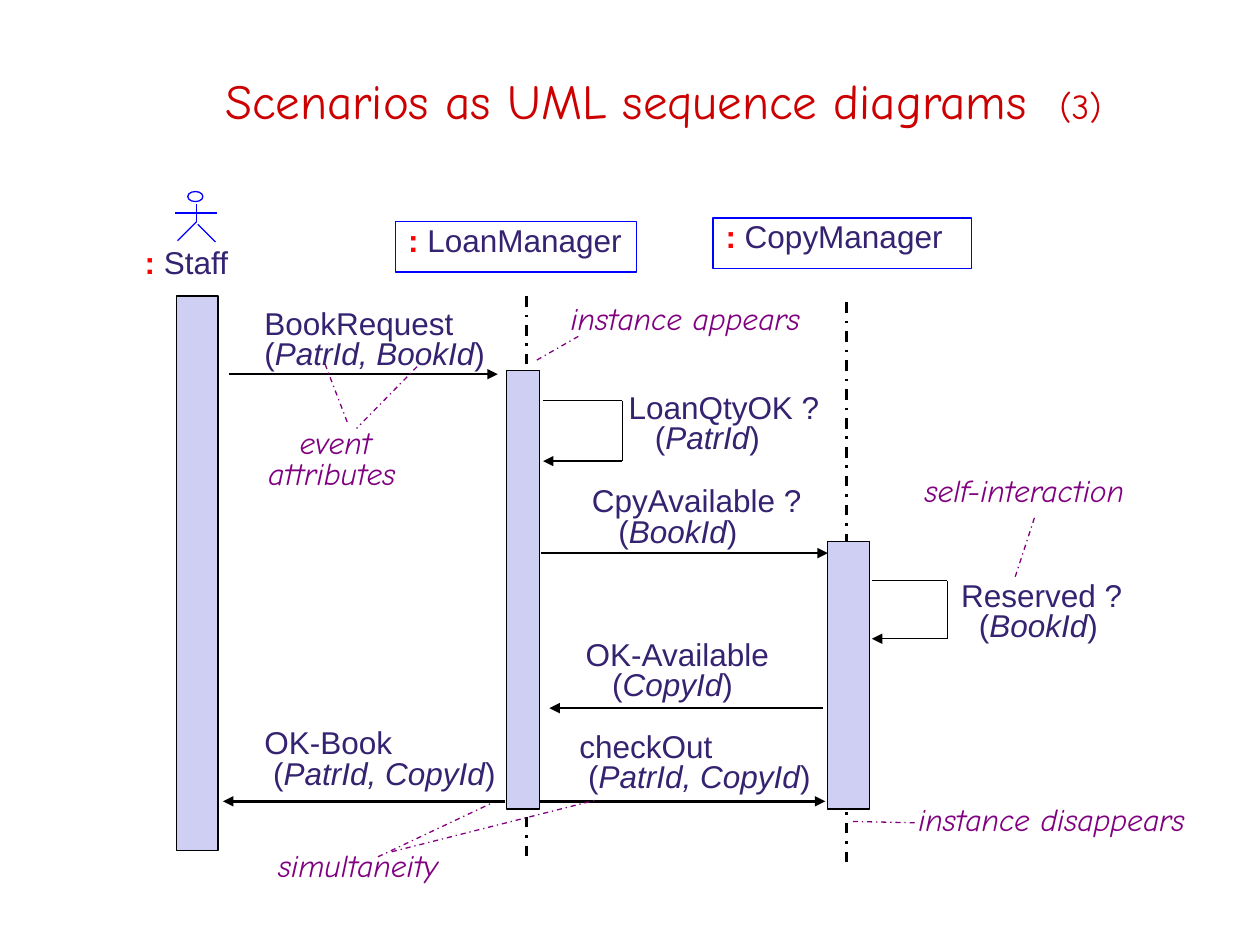
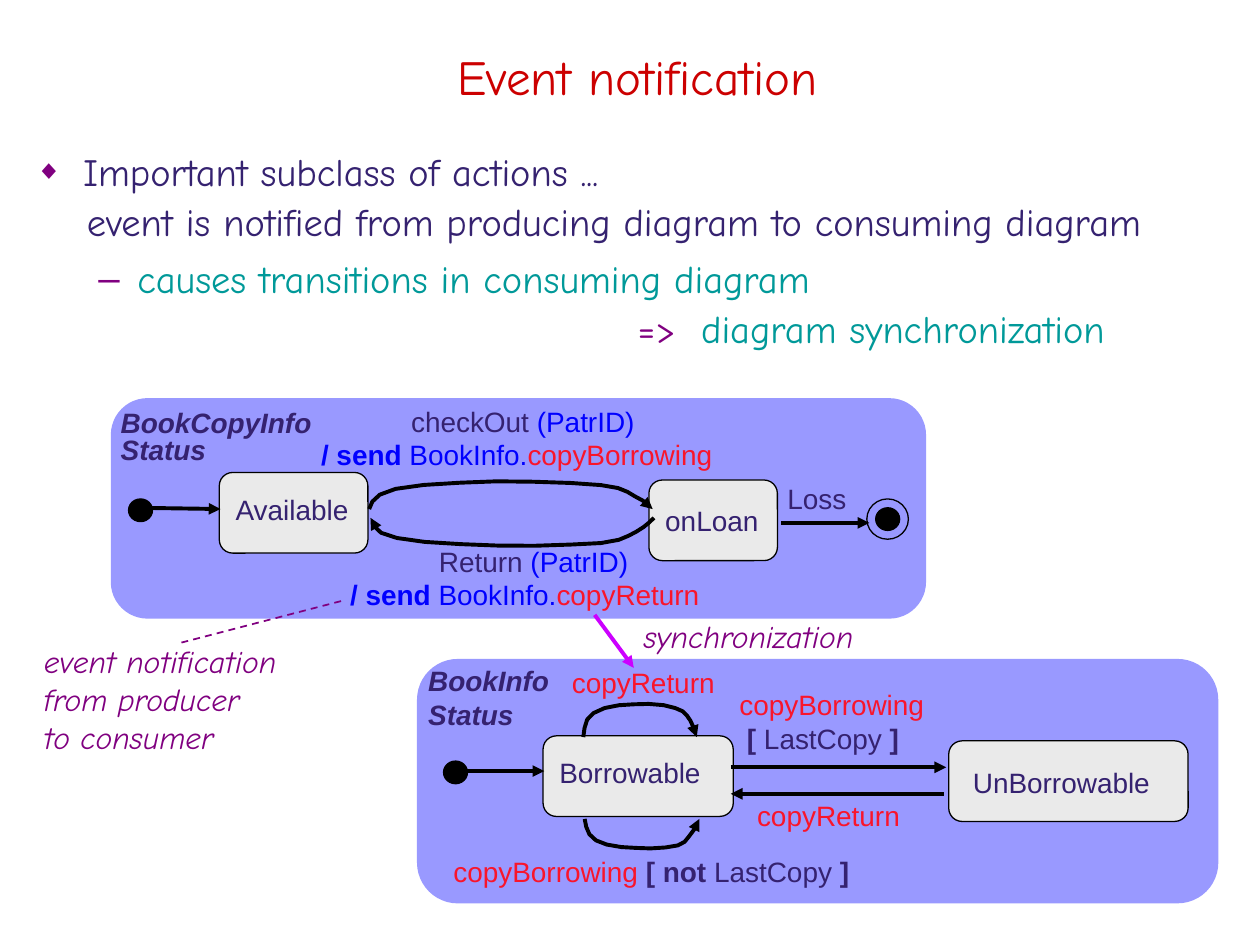
"""Build two slides on UML sequence diagrams and event notification."""
import pptx
import pptx.util
import pptx.dml.color
import pptx.enum.dml
import pptx.enum.shapes
import pptx.enum.text
import pptx.oxml.ns
import lxml.etree

PX = 9144
COLOURS = {
    "title": "CC0000", "ink": "352270", "black": "000000", "blue": "0000FF",
    "red": "FF0000", "event": "F9152B", "note": "800080", "teal": "009999",
    "bar": "CECFF2", "panel": "9999FF", "state": "EAEAEA", "sync": "CC00FF",
}
FONTS = {
    "title": ("Comic Neue", 28, "title", {}),
    "part": ("Comic Neue", 20, "title", {}),
    "body": ("Comic Neue", 22, "ink", {}),
    "detail": ("Comic Neue", 22, "teal", {}),
    "sign": ("Comic Neue", 22, "note", {}),
    "note": ("Comic Neue", 18, "note", {"italic": True}),
    "colon": ("Arial", 18, "red", {"bold": True}),
    "label": ("Arial", 18, "ink", {}),
    "argument": ("Arial", 18, "ink", {"italic": True}),
    "lead": ("Times New Roman", 18, "ink", {}),
    "small": ("Arial", 16, "ink", {}),
    "strong": ("Arial", 16, "ink", {"bold": True}),
    "diagram": ("Arial", 16, "ink", {"bold": True, "italic": True}),
    "event": ("Arial", 16, "event", {}),
    "target": ("Arial", 16, "blue", {}),
    "send": ("Arial", 16, "blue", {"bold": True}),
}
SHAPE = pptx.enum.shapes.MSO_SHAPE
STRAIGHT = pptx.enum.shapes.MSO_CONNECTOR.STRAIGHT
DASH = pptx.enum.dml.MSO_LINE
ANCHOR = pptx.enum.text.MSO_ANCHOR
ALIGN = pptx.enum.text.PP_ALIGN
TIGHT = {"line_spacing": 0.8}


def ink(shape, colour=None, width=0.75, dash=None, arrow=False, fill=None):
    """Set line, fill and arrowhead, and drop the shadow."""
    if colour:
        shape.line.color.rgb = pptx.dml.color.RGBColor.from_string(COLOURS[colour])
        shape.line.width = pptx.util.Pt(width)
        shape.line.dash_style = dash
    else:
        shape.line.fill.background()
    if arrow:
        end = lxml.etree.SubElement(shape.line._ln, pptx.oxml.ns.qn("a:tailEnd"))
        end.set("type", "triangle")
    if fill:
        shape.fill.solid()
        shape.fill.fore_color.rgb = pptx.dml.color.RGBColor.from_string(COLOURS[fill])
    elif hasattr(shape, "fill"):
        shape.fill.background()
    lxml.etree.SubElement(shape._element.spPr, pptx.oxml.ns.qn("a:effectLst"))


def write(shape, paragraphs, anchor=ANCHOR.TOP):
    """Fill a shape with paragraphs of (layout, runs)."""
    frame = shape.text_frame
    frame.word_wrap = True
    frame.auto_size = pptx.enum.text.MSO_AUTO_SIZE.NONE
    frame.vertical_anchor = anchor
    for number, (layout, runs) in enumerate(paragraphs):
        paragraph = frame.add_paragraph() if number else frame.paragraphs[0]
        paragraph.alignment = ALIGN.LEFT
        for key, value in layout.items():
            if key in ("marL", "indent"):
                paragraph._p.get_or_add_pPr().set(key, str(value * PX))
            else:
                setattr(paragraph, key, value)
        for text, style in runs:
            run = paragraph.add_run()
            run.text = text
            name, size, colour, emphasis = FONTS[style]
            values = {"name": name, "size": pptx.util.Pt(size), "bold": False, "italic": False}
            for key, value in {**values, **emphasis}.items():
                setattr(run.font, key, value)
            run.font.color.rgb = pptx.dml.color.RGBColor.from_string(COLOURS[colour])


deck = pptx.Presentation()
deck.slide_width, deck.slide_height = 1000 * PX, 750 * PX
slides = []
for layout_number, at, heading in [
    (5, (78, 38, 897, 83),
     [("Scenarios as UML sequence diagrams", "title"), (" ", "title"), ("(3)", "part")]),
    (1, (33, 19, 946, 83), [("Event notification", "title")]),
]:
    slide = deck.slides.add_slide(deck.slide_layouts[layout_number])
    title = slide.shapes.title
    title.left, title.top, title.width, title.height = [v * PX for v in at]
    write(title, [({"alignment": ALIGN.CENTER}, heading)], ANCHOR.MIDDLE)
    slides.append(slide)
sequence, notification = [slide.shapes for slide in slides]

for x, top, bottom in [(672, 240, 686), (418, 235, 681)]:
    lifeline = sequence.add_connector(STRAIGHT, x * PX, top * PX, x * PX, bottom * PX)
    ink(lifeline, "black", 1.5, DASH.DASH_DOT)

for at in [(140, 235, 33, 440), (402, 294, 26, 348), (657, 430, 33, 212)]:
    activation = sequence.add_shape(SHAPE.RECTANGLE, *[v * PX for v in at])
    ink(activation, "black", fill="bar")

staff = sequence.add_textbox(105 * PX, 194 * PX, 113 * PX, 42 * PX)
write(staff, [(TIGHT, [(": ", "colon"), ("Staff", "label")])])
for at, participant in [
    ((314, 176, 191, 40), "LoanManager"),
    ((566, 173, 205, 40), "CopyManager"),
]:
    header = sequence.add_shape(SHAPE.RECTANGLE, *[v * PX for v in at])
    ink(header, "blue")
    write(header, [(TIGHT, [(":", "colon"), (" " + participant, "label")])])

for at, message, indent, arguments in [
    ((200, 242, 203, 64), "BookRequest", 0, "PatrId, BookId"),
    ((489, 309, 177, 56), "LoanQtyOK ?", 21, "PatrId"),
    ((460, 383, 194, 57), "CpyAvailable ?", 21, "BookId"),
    ((753, 458, 172, 56), "Reserved ?", 14, "BookId"),
    ((455, 505, 187, 56), "OK-Available", 21, "CopyId"),
    ((200, 575, 207, 57), "OK-Book", 7, "PatrId, CopyId"),
    ((450, 578, 205, 57), "checkOut", 7, "PatrId, CopyId"),
]:
    caption = sequence.add_textbox(*[v * PX for v in at])
    write(caption, [
        (TIGHT, [(message, "label")]),
        ({**TIGHT, "marL": indent, "indent": 0},
         [("(", "label"), (arguments, "argument"), (")", "label")]),
    ])

for start, end, y in [
    (182, 395, 297), (429, 657, 439), (653, 436, 562), (428, 655, 636), (401, 177, 636),
]:
    arrow = sequence.add_connector(STRAIGHT, start * PX, y * PX, end * PX, y * PX)
    ink(arrow, "black", 1.5, arrow=True)

for left, right, top, bottom in [(431, 494, 318, 366), (692, 752, 461, 507)]:
    corners = [(left, top), (right, top), (right, bottom), (left, bottom)]
    for begin, end in zip(corners, corners[1:]):
        side = sequence.add_connector(STRAIGHT, *[v * PX for v in begin + end])
        ink(side, "black", arrow=end == corners[-1])

for at, remark, indent in [
    ((203, 337, 143, 60), "event attributes", 25),
    ((724, 375, 226, 36), "self-interaction", 0),
    ((443, 238, 226, 36), "instance appears", 0),
    ((719, 636, 255, 36), "instance disappears", 0),
    ((211, 672, 177, 36), "simultaneity", 0),
]:
    note = sequence.add_textbox(*[v * PX for v in at])
    write(note, [({**TIGHT, "marL": 0, "indent": indent}, [(remark, "note")])])

for ends in [
    (258, 289, 276, 336), (331, 291, 283, 340), (821, 411, 805, 460), (459, 267, 424, 287),
    (726, 653, 677, 652), (311, 676, 473, 635), (300, 680, 389, 638),
]:
    pointer = sequence.add_connector(STRAIGHT, *[v * PX for v in ends])
    ink(pointer, "note", dash=DASH.DASH_DOT)

actor = sequence.add_group_shape().shapes
ink(actor.add_shape(SHAPE.OVAL, 149 * PX, 152 * PX, 12 * PX, 8 * PX), "blue")
for ends in [
    (156, 162, 156, 176), (156, 176, 141, 191), (157, 178, 171, 192), (139, 169, 172, 169),
]:
    ink(actor.add_connector(STRAIGHT, *[v * PX for v in ends]), "blue")

points = notification.placeholders[1]
points.left, points.top, points.width, points.height = [v * PX for v in (18, 111, 982, 175)]
gap, wide_gap = pptx.util.Pt(5.5), pptx.util.Pt(10)
write(points, [
    ({"marL": 38, "indent": -38, "space_before": wide_gap},
     [("Important subclass of actions ...", "body")]),
    ({"marL": 41, "indent": 0, "space_before": gap, "line_spacing": 0.9},
     [("event is notified from producing diagram to consuming diagram", "body")]),
    ({"level": 1, "marL": 81, "indent": -31, "space_before": gap},
     [("causes transitions in consuming diagram", "detail")]),
    ({"level": 1, "marL": 478, "indent": 0, "space_before": gap, "line_spacing": 0.9},
     [("=>", "sign"), (" ", "detail"), ("diagram synchronization", "detail")]),
], ANCHOR.MIDDLE)
for point, (bullet, percent) in zip(
    points.text_frame.paragraphs, [("◆", 70), (None, 0), ("–", 100), (None, 0)]
):
    properties = point._p.get_or_add_pPr()
    if not bullet:
        lxml.etree.SubElement(properties, pptx.oxml.ns.qn("a:buNone"))
        continue
    tint = lxml.etree.SubElement(properties, pptx.oxml.ns.qn("a:buClr"))
    for parent, tag, key, value in [
        (tint, "a:srgbClr", "val", COLOURS["note"]),
        (properties, "a:buSzPct", "val", str(percent * 1000)),
        (properties, "a:buChar", "char", bullet),
    ]:
        lxml.etree.SubElement(parent, pptx.oxml.ns.qn(tag)).set(key, value)

for line, tracking in [
    (sequence.title.text_frame.paragraphs[0], 950), (points.text_frame.paragraphs[3], 700),
]:
    line.runs[1]._r.get_or_add_rPr().set("spc", str(tracking))

for at in [(331, 523, 636, 194), (88, 316, 647, 175)]:
    ink(notification.add_shape(SHAPE.ROUNDED_RECTANGLE, *[v * PX for v in at]), fill="panel")

for at, state, spacing in [
    ((431, 584, 151, 64), [("Borrowable", "small")], 1.3),
    ((753, 588, 190, 64), [(" ", "lead"), ("UnBorrowable", "small")], 1.3),
    ((174, 375, 118, 64), [("Available", "small")], 1.3),
    ((515, 381, 102, 64), [("onLoan", "small")], 1.4),
]:
    box = notification.add_shape(SHAPE.ROUNDED_RECTANGLE, *[v * PX for v in at])
    ink(box, "black", fill="state")
    write(box, [({"line_spacing": spacing, "space_before": pptx.util.Pt(6)}, state)])

final_state = notification.add_group_shape().shapes
for place, at, fill in [
    (notification, (352, 604, 19, 18), "black"), (notification, (102, 396, 19, 18), "black"),
    (final_state, (695, 403, 19, 18), "black"), (final_state, (688, 396, 33, 32), None),
]:
    ink(place.add_shape(SHAPE.OVAL, *[v * PX for v in at]), "black", fill=fill)

centred = {"alignment": ALIGN.CENTER}
for at, paragraphs in [
    ((577, 541, 194, 69), [
        ({}, [("copyBorrowing", "event")]),
        ({"marL": 6, "indent": 0},
         [("[ ", "strong"), ("LastCopy ", "small"), ("]", "strong")])]),
    ((591, 629, 169, 36), [({}, [("copyReturn", "event")])]),
    ((444, 523, 169, 36), [({}, [("copyReturn", "event")])]),
    ((350, 673, 389, 44), [
        ({}, [("copyBorrowing ", "event"), ("[ not ", "strong"),
              ("LastCopy ", "small"), ("]", "strong")])]),
    ((330, 522, 119, 61), [({}, [("BookInfo", "diagram")]), ({}, [("Status", "diagram")])]),
    ((86, 317, 181, 57), [({}, [("BookCopyInfo", "diagram")]), (TIGHT, [("Status", "diagram")])]),
    ((615, 377, 75, 36), [({}, [("Loss", "small")])]),
    ((25, 505, 229, 96), [
        ({}, [(line, "note")]) for line in ("event notification", "from producer", "to consumer")]),
    ((501, 485, 216, 36), [({}, [("synchronization", "note")])]),
] + [
    (at, [
        (centred, [(trigger, "small"), ("(PatrID)", "target")]),
        ({}, [("/ send", "send"), (" BookInfo.", "target"), (event, "event")])])
    for at, trigger, event in [
        ((245, 316, 340, 68), "checkOut ", "copyBorrowing"),
        ((268, 427, 311, 68), "Return ", "copyReturn"),
    ]
]:
    write(notification.add_textbox(*[v * PX for v in at]), paragraphs)

for ends, colour, width, dash, arrow in [
    ((366, 612, 432, 612), "black", 2.25, None, True),
    ((749, 630, 580, 630), "black", 2.25, None, True),
    ((580, 609, 751, 609), "black", 2.25, None, True),
    ((620, 415, 690, 415), "black", 2.25, None, True),
    ((108, 403, 175, 404), "black", 2.25, None, True),
    ((472, 488, 503, 530), "sync", 2.25, None, True),
    ((144, 510, 271, 477), "note", 1, DASH.DASH, False),
]:
    transition = notification.add_connector(STRAIGHT, *[v * PX for v in ends])
    ink(transition, colour, width, dash, arrow)

for knots in [
    [(463, 585), (464, 578), (464, 570), (471, 566), (478, 561), (492, 559), (503, 559),
     (514, 558), (529, 559), (536, 562), (544, 564), (545, 568), (548, 572), (550, 576),
     (552, 581), (553, 585)],
    [(464, 650), (465, 656), (466, 663), (473, 667), (479, 671), (494, 673), (505, 673),
     (515, 674), (530, 673), (538, 671), (545, 669), (546, 664), (549, 661), (552, 658),
     (553, 654), (555, 650)],
    [(293, 404), (295, 398), (297, 392), (314, 388), (331, 384), (367, 383), (394, 382),
     (421, 382), (458, 383), (477, 385), (495, 387), (497, 390), (504, 394), (511, 397),
     (515, 401), (518, 404)],
    [(519, 411), (515, 415), (512, 418), (505, 422), (498, 425), (496, 429), (477, 431),
     (459, 432), (422, 434), (395, 433), (367, 432), (332, 431), (315, 427), (298, 424),
     (296, 417), (294, 411)],
]:
    curve = []
    for first in range(0, len(knots) - 1, 3):
        for t in (1 / 3, 2 / 3, 1):
            weights = [(1 - t) ** 3, 3 * t * (1 - t) ** 2, 3 * t * t * (1 - t), t ** 3]
            curve.append([
                round(PX * sum(w * knot[axis] for w, knot in zip(weights, knots[first:first + 4])))
                for axis in (0, 1)])
    pen = notification.build_freeform(knots[0][0] * PX, knots[0][1] * PX)
    pen.add_line_segments(curve, close=False)
    ink(pen.convert_to_shape(), "black", 2.25, arrow=True)

deck.save("out.pptx")
